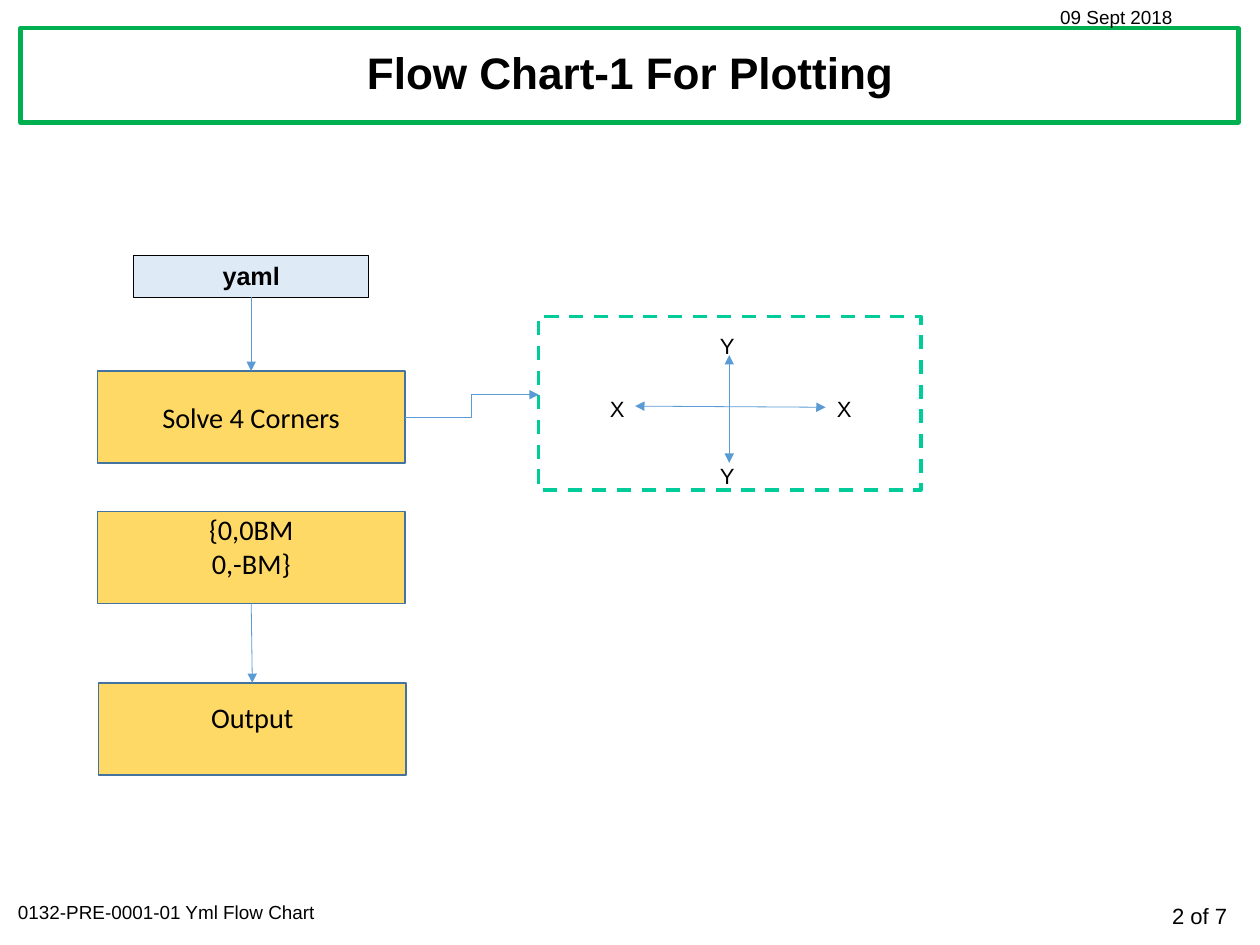
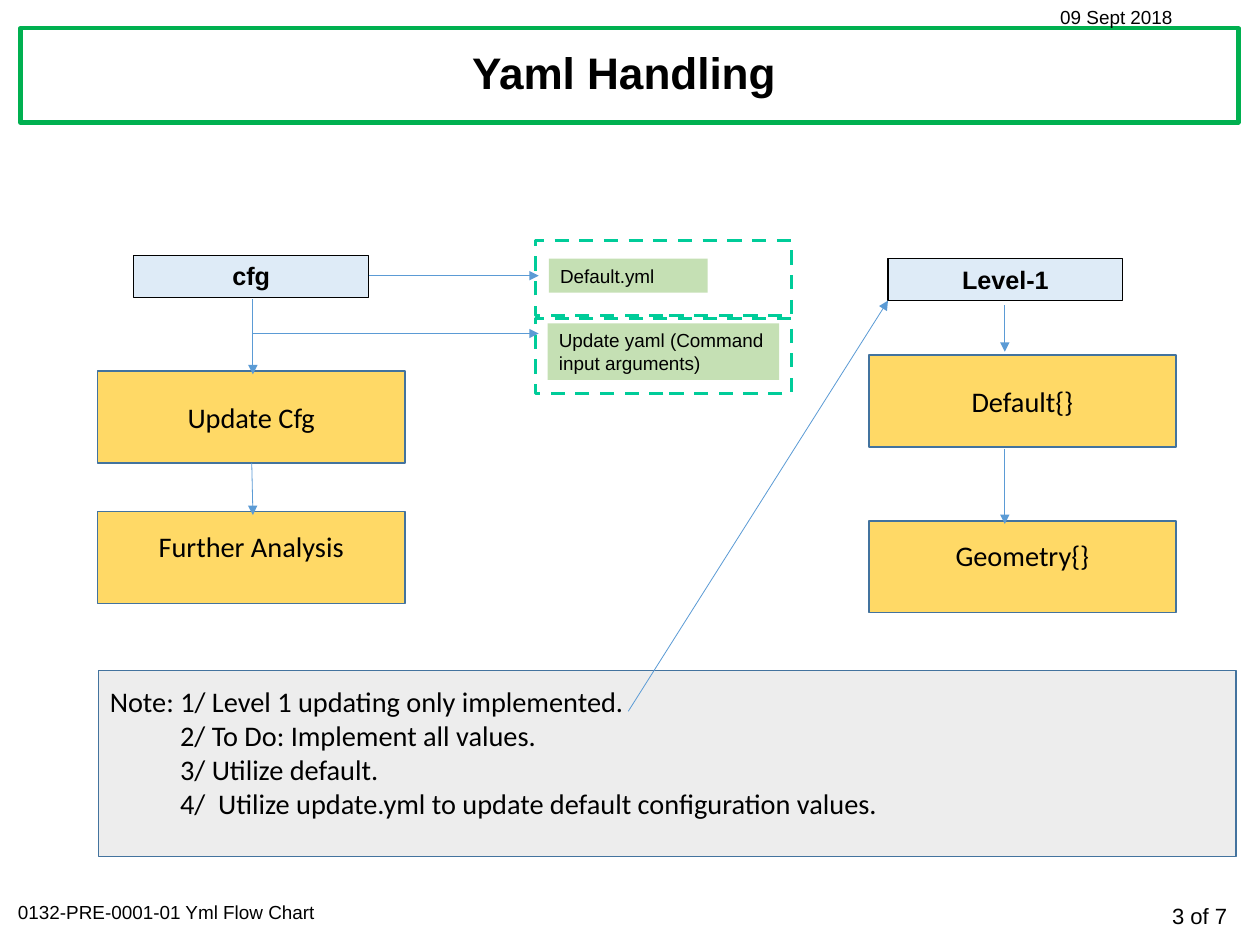
from dataclasses import dataclass
from typing import Optional

from lxml import etree
from pptx import Presentation
from pptx import util as u
from pptx.dml.color import RGBColor
from pptx.enum import dml, shapes, text
from pptx.oxml import ns

# Lengths are px, 100 to the inch
EMU_PER_PX = 9144
SLIDE_SIZE = (1111, 833)
BAND_BOX = (18, 25, 1074, 83)
TITLE_BOX = (21, 25, 1069, 83)
PAGE_COUNT = 7
STEP_SIZE = (271, 81)
HEADER_SIZE = (207, 37)
LIFT = 20  # extra space under the text of a lifted box
NOTE_INDENT = 62

BLACK, WHITE, GREEN, TEAL = "000000", "FFFFFF", "00B050", "00CC99"
PALE_BLUE, YELLOW, PALE_GREEN, GREY = "DEEBF7", "FFD966", "C5E0B4", "EDEDED"
EDGE_BLUE, ARROW_BLUE = "43739E", "5B9BD5"

LEFT, CENTER, RIGHT, JUSTIFY = (
    text.PP_ALIGN.LEFT, text.PP_ALIGN.CENTER, text.PP_ALIGN.RIGHT, text.PP_ALIGN.JUSTIFY)
TOP_SITE, BOTTOM_SITE = 0, 2


@dataclass(frozen=True)
class Style:
    fill: Optional[str] = None
    line: Optional[str] = None
    width: float = 1
    dashed: bool = False


BAND = Style(WHITE, GREEN, 2.75)
HEADER = Style(PALE_BLUE, BLACK, 0.75)
STEP = Style(YELLOW, EDGE_BLUE)
NOTE = Style(GREY, EDGE_BLUE)
FILE = Style(PALE_GREEN)
GROUP = Style(None, TEAL, 2.25, True)


@dataclass(frozen=True)
class Step:
    left: int
    top: int
    words: str
    lifted: bool = False


@dataclass(frozen=True)
class Label:
    box: tuple
    words: str
    size: int = 12
    align: int = LEFT


@dataclass(frozen=True)
class Arrow:
    start: tuple
    end: tuple
    both: bool = False
    bent: bool = False


FOOTERS = (
    Label((6, 789, 399, 30), "0132-PRE-0001-01 Yml Flow Chart"),
    Label((925, 0, 168, 30), "09 Sept 2018"),
)


def px(*lengths: int) -> list:
    return [u.Emu(length * EMU_PER_PX) for length in lengths]


def color(value: str) -> RGBColor:
    return RGBColor.from_string(value)


def write(shape, words: str, size: int = 12, font: str = "Arial", bold: bool = False,
          align=LEFT, anchor=text.MSO_ANCHOR.TOP, grow: bool = False,
          lifted: bool = False, indent: int = 0) -> None:
    """Fill a shape with one paragraph per line; indent applies after the first."""
    frame = shape.text_frame
    frame.text = words
    frame.word_wrap = True
    frame.vertical_anchor = anchor
    frame.auto_size = text.MSO_AUTO_SIZE.SHAPE_TO_FIT_TEXT if grow else text.MSO_AUTO_SIZE.NONE
    if lifted:
        frame.margin_top, frame.margin_bottom = px(0, LIFT)
    for index, paragraph in enumerate(frame.paragraphs):
        paragraph.alignment = align
        if indent and index:
            paragraph._p.get_or_add_pPr().set("marL", str(px(indent)[0]))
        for run in paragraph.runs:
            run.font.name, run.font.size, run.font.bold = font, u.Pt(size), bold
            run.font.color.rgb = color(BLACK)


def add_box(slide, box: tuple, style: Style):
    shape = slide.shapes.add_shape(shapes.MSO_SHAPE.RECTANGLE, *px(*box))
    shape.shadow.inherit = False
    if style.fill:
        shape.fill.solid()
        shape.fill.fore_color.rgb = color(style.fill)
    else:
        shape.fill.background()
    if style.line:
        shape.line.color.rgb = color(style.line)
        shape.line.width = u.Pt(style.width)
        if style.dashed:
            shape.line.dash_style = dml.MSO_LINE.DASH
    else:
        shape.line.fill.background()
    return shape


def add_header(slide, left: int, top: int, words: str):
    shape = add_box(slide, (left, top, *HEADER_SIZE), HEADER)
    write(shape, words, size=16, bold=True, align=CENTER, grow=True)
    return shape


def add_step(slide, step: Step):
    shape = add_box(slide, (step.left, step.top, *STEP_SIZE), STEP)
    write(shape, step.words, size=18, font="Calibri", align=CENTER,
          anchor=text.MSO_ANCHOR.MIDDLE, lifted=step.lifted)
    return shape


def add_label(slide, label: Label) -> None:
    shape = slide.shapes.add_textbox(*px(*label.box))
    write(shape, label.words, size=label.size, align=label.align, grow=True)


def add_arrow(slide, arrow: Arrow):
    kind = shapes.MSO_CONNECTOR.ELBOW if arrow.bent else shapes.MSO_CONNECTOR.STRAIGHT
    connector = slide.shapes.add_connector(kind, *px(*arrow.start, *arrow.end))
    connector.line.color.rgb = color(ARROW_BLUE)
    connector.line.width = u.Pt(0.5)
    line = connector.line._get_or_add_ln()
    for end in ("a:headEnd", "a:tailEnd") if arrow.both else ("a:tailEnd",):
        etree.SubElement(line, ns.qn(end), type="triangle")
    etree.SubElement(connector.element.spPr, ns.qn("a:effectLst"))
    return connector


def join_down(slide, upper, lower) -> None:
    connector = add_arrow(slide, Arrow((0, 0), (0, 0)))
    connector.begin_connect(upper, BOTTOM_SITE)
    connector.end_connect(lower, TOP_SITE)


def add_slide(presentation, title: str, number: int):
    """Start a slide with the shared title band, footer texts and page number."""
    slide = presentation.slides.add_slide(presentation.slide_layouts[5])
    placeholder = slide.shapes.title
    placeholder.left, placeholder.top, placeholder.width, placeholder.height = px(*TITLE_BOX)
    write(placeholder, title, size=28, bold=True, align=CENTER, anchor=text.MSO_ANCHOR.MIDDLE)
    paragraph = placeholder.text_frame.paragraphs[0]
    paragraph.line_spacing, paragraph.space_before = 0.9, u.Pt(10)
    band = add_box(slide, BAND_BOX, BAND)
    placeholder.element.addprevious(band.element)
    page = Label((940, 791, 152, 34), f"{number} of {PAGE_COUNT}", 14, RIGHT)
    for label in (*FOOTERS, page):
        add_label(slide, label)
    return slide


def build_plotting(presentation) -> None:
    slide = add_slide(presentation, "Flow Chart-1 For Plotting", 2)

    # Main flow
    header = add_header(slide, 118, 225, "yaml")
    solve, corners, output = [add_step(slide, step) for step in (
        Step(86, 327, "Solve 4 Corners"),
        Step(86, 451, "{0,0BM\n0,-BM}", lifted=True),
        Step(87, 602, "Output", lifted=True),
    )]
    join_down(slide, header, solve)
    join_down(slide, corners, output)

    # Axes
    add_box(slide, (475, 279, 337, 153), GROUP)
    for arrow in (
        Arrow((357, 368), (475, 348), bent=True),
        Arrow((560, 358), (728, 359), both=True),
        Arrow((643, 313), (643, 408), both=True),
    ):
        add_arrow(slide, arrow)
    for left, top, axis in ((728, 344, "X"), (528, 344, "X"), (625, 288, "Y"), (625, 403, "Y")):
        add_label(slide, Label((left, top, 38, 34), axis, 14))


def build_handling(presentation) -> None:
    slide = add_slide(presentation, "Yaml Handling ", 3)

    # Configuration flow and level flow
    add_header(slide, 118, 225, "cfg")
    add_header(slide, 783, 228, "Level-1")
    for step in (
        Step(86, 327, "Update Cfg"),
        Step(86, 451, "Further Analysis", lifted=True),
        Step(766, 313, "Default{}"),
        Step(766, 459, "Geometry{}", lifted=True),
    ):
        add_step(slide, step)

    # Input files
    for top in (212, 281):
        add_box(slide, (472, top, 226, 66), GROUP)
    for box, words in (
        ((484, 228, 140, 30), "Default.yml"),
        ((483, 285, 204, 50), "Update yaml (Command input arguments)"),
    ):
        write(add_box(slide, box, FILE), words, grow=True)

    # Note
    note = add_box(slide, (87, 591, 1003, 164), NOTE)
    write(note, "Note: 1/ Level 1 updating only implemented.\n"
                "2/ To Do: Implement all values.\n"
                "3/ Utilize default.\n"
                "4/  Utilize update.yml to update default configuration values.",
          size=18, font="Calibri", align=JUSTIFY, anchor=text.MSO_ANCHOR.MIDDLE,
          lifted=True, indent=NOTE_INDENT)

    # Arrows
    for start, end in (
        ((223, 264), (223, 330)),
        ((222, 408), (223, 454)),
        ((223, 294), (475, 294)),
        ((325, 243), (475, 243)),
        ((886, 269), (886, 310)),
        ((886, 396), (886, 462)),
        ((554, 627), (783, 265)),
    ):
        add_arrow(slide, Arrow(start, end))


def main() -> None:
    presentation = Presentation()
    presentation.slide_width, presentation.slide_height = px(*SLIDE_SIZE)
    build_plotting(presentation)
    build_handling(presentation)
    presentation.save("out.pptx")


if __name__ == "__main__":
    main()
